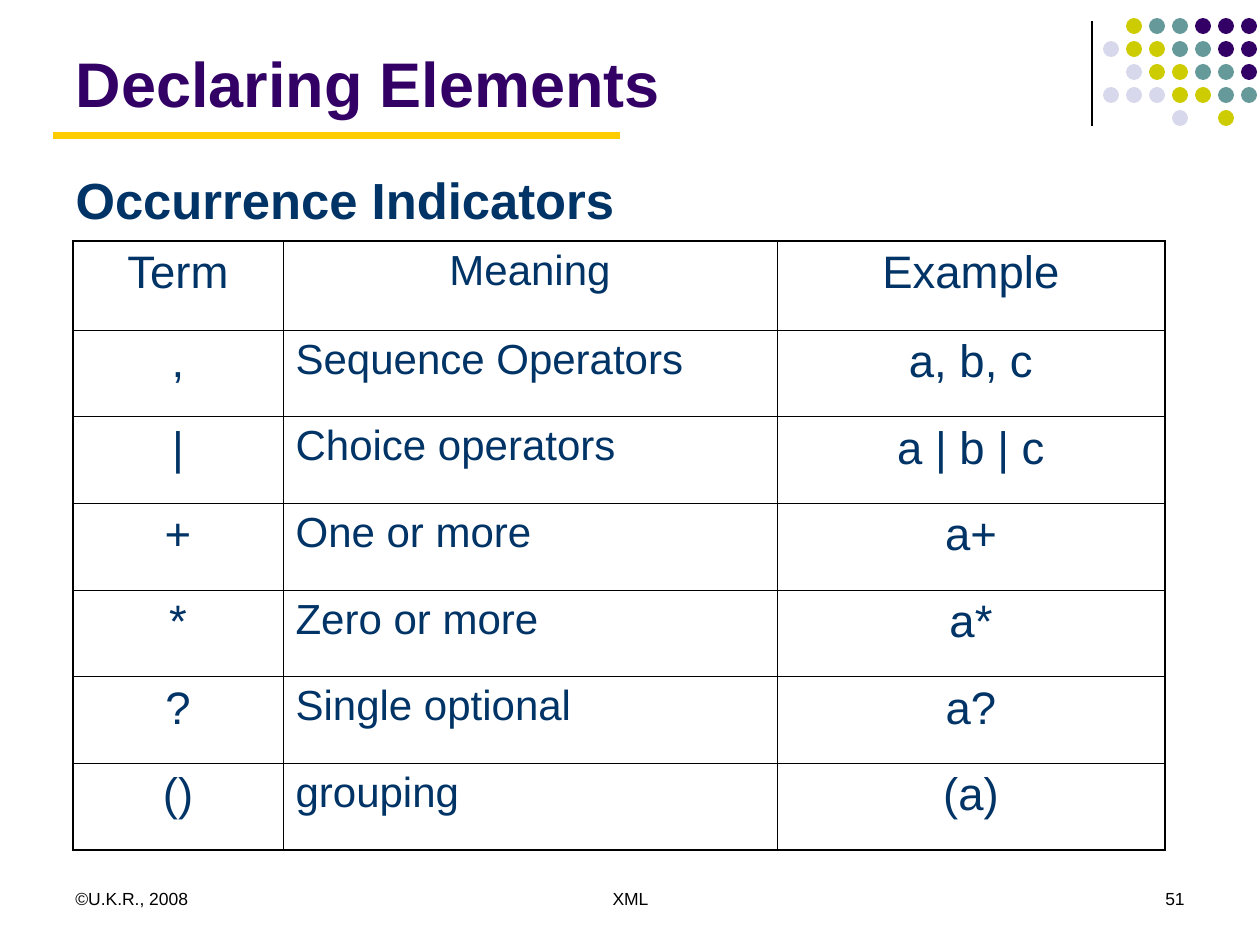
from lxml.etree import SubElement
from pptx import Presentation
from pptx.dml.color import RGBColor
from pptx.enum.shapes import MSO_CONNECTOR, MSO_SHAPE
from pptx.enum.text import MSO_ANCHOR, MSO_AUTO_SIZE, PP_ALIGN
from pptx.oxml.ns import qn
from pptx.util import Pt

EMU_PER_PX = 914400 / 126
BLACK, PURPLE, NAVY, GOLD = "000000", "330066", "003366", "FFCC00"
DOT_COLORS = {"P": PURPLE, "T": "669999", "Y": "CCCC00", "L": "D8D8EC"}
DOT_ROWS = [".YTTPPP", "LYYTTPP", ".LYYTTP", "LLLYYTT", "...L.Y."]
INDICATORS = [
    ("Term", "Meaning", "Example"),
    (",", "Sequence Operators", "a, b, c"),
    ("|", "Choice operators", "a | b | c"),
    ("+", "One or more", "a+"),
    ("*", "Zero or more", "a*"),
    ("?", "Single optional", "a?"),
    ("()", "grouping", "(a)"),
]


def px(length):
    """Turn px into EMU."""
    return round(length * EMU_PER_PX)


def rgb(color):
    """Turn a hex string into a colour."""
    return RGBColor.from_string(color)


def write(frame, text, size, color, align=PP_ALIGN.LEFT, bold=False):
    """Write one run into the first paragraph of a frame."""
    paragraph = frame.paragraphs[0]
    paragraph.alignment = align
    paragraph.space_before = Pt(0)
    run = paragraph.add_run()
    run.text = text
    run.font.name = "Arial"
    run.font.size = Pt(size)
    run.font.bold = bold
    run.font.color.rgb = rgb(color)


def add_rule(slide, start, end, color, weight):
    """Draw a straight line between two points."""
    rule = slide.shapes.add_connector(
        MSO_CONNECTOR.STRAIGHT, *map(px, start + end))
    rule.line.color.rgb = rgb(color)
    rule.line.width = Pt(weight)
    SubElement(rule._element.spPr, qn("a:effectLst"))


def add_dots(slide, left, top, pitch=23, size=16):
    """Draw the corner grid of coloured dots as one group."""
    dots = slide.shapes.add_group_shape()
    for row, codes in enumerate(DOT_ROWS):
        for column, code in enumerate(codes):
            if code == ".":
                continue
            dot = dots.shapes.add_shape(
                MSO_SHAPE.OVAL, px(left + column * pitch),
                px(top + row * pitch), px(size), px(size))
            dot.shadow.inherit = False
            dot.fill.solid()
            dot.fill.fore_color.rgb = rgb(DOT_COLORS[code])
            dot.line.fill.background()


def fill_placeholder(holder, box, text, size, color, anchor):
    """Place a template placeholder and write its bold heading."""
    holder.left, holder.top, holder.width, holder.height = map(px, box)
    frame = holder.text_frame
    frame.auto_size = MSO_AUTO_SIZE.NONE
    frame.vertical_anchor = anchor
    properties = frame.paragraphs[0]._p.get_or_add_pPr()
    properties.set("marL", "0")
    properties.set("indent", "0")
    SubElement(properties, qn("a:buNone"))
    write(frame, text, size, color, bold=True)


def set_borders(cell, weights):
    """Draw the left, right, top and bottom borders of a cell."""
    properties = cell._tc.get_or_add_tcPr()
    for index, (side, weight) in enumerate(zip("LRTB", weights)):
        border = properties.makeelement(
            qn(f"a:ln{side}"), {"w": str(Pt(weight))})
        fill = SubElement(border, qn("a:solidFill"))
        SubElement(fill, qn("a:srgbClr"), val=BLACK)
        properties.insert(index, border)


def add_indicator_table(slide, left, top, widths, header, height):
    """Build the table of occurrence indicators."""
    last_row, last_column = len(INDICATORS) - 1, len(widths) - 1
    table = slide.shapes.add_table(
        len(INDICATORS), len(widths), px(left), px(top),
        px(sum(widths)), px(height)).table
    table.first_row = table.horz_banding = False
    for column, width in zip(table.columns, widths):
        column.width = px(width)
    for r, texts in enumerate(INDICATORS):
        table.rows[r].height = px(header if r == 0 else (height - header) / last_row)
        for c, text in enumerate(texts):
            cell = table.cell(r, c)
            cell.fill.background()
            outer = (c == 0, c == last_column, r == 0, r == last_row)
            set_borders(cell, [1.08 if edge else 0.45 for edge in outer])
            is_meaning = c == 1
            align = PP_ALIGN.LEFT if is_meaning and r else PP_ALIGN.CENTER
            write(cell.text_frame, text, 24 if is_meaning else 26, NAVY, align)


def add_footer(slide, top, height):
    """Write the copyright, topic and page number."""
    for left, width, text, align in [
        (63, 294, "©U.K.R., 2008", PP_ALIGN.LEFT),
        (431, 399, "XML", PP_ALIGN.CENTER),
        (903, 294, "51", PP_ALIGN.RIGHT),
    ]:
        note = slide.shapes.add_textbox(px(left), px(top), px(width), px(height))
        note.text_frame.word_wrap = True
        write(note.text_frame, text, 10, BLACK, align)


def main():
    """Build and save the slide."""
    deck = Presentation()
    deck.slide_width, deck.slide_height = px(1260), px(945)
    slide = deck.slides.add_slide(deck.slide_layouts[1])
    add_rule(slide, (1092, 21), (1092, 126), BLACK, 0.75)
    add_dots(slide, 1103, 18)
    add_rule(slide, (53, 136), (620, 136), GOLD, 4)
    add_footer(slide, 882, 63)
    fill_placeholder(slide.shapes.title, (63, 17, 1040, 109),
                     "Declaring Elements", 36, PURPLE, MSO_ANCHOR.BOTTOM)
    fill_placeholder(slide.placeholders[1], (63, 162, 577, 710),
                     "Occurrence Indicators", 29, NAVY, MSO_ANCHOR.TOP)
    add_indicator_table(slide, 73, 241, (210, 494, 388), 89, 609)
    deck.save("out.pptx")


if __name__ == "__main__":
    main()
